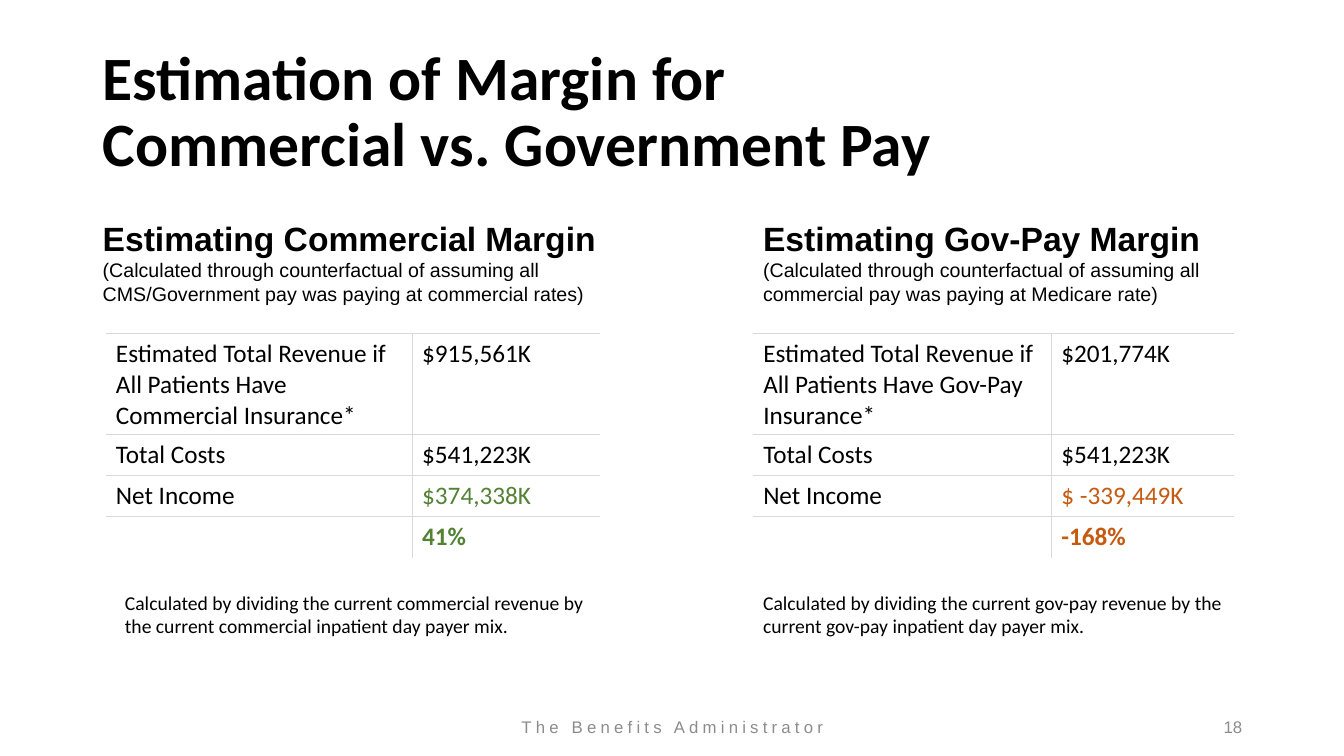
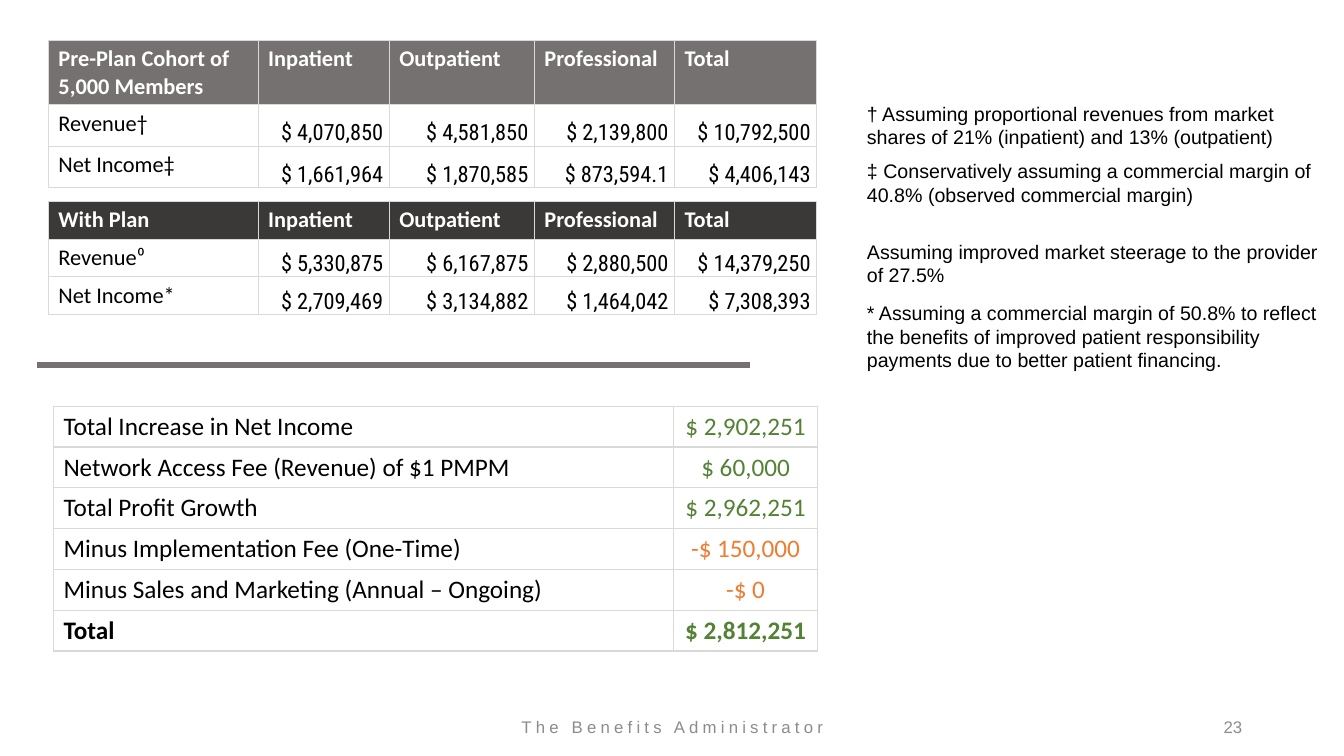
from collections import namedtuple

from lxml import etree
from pptx import Presentation
from pptx.dml.color import RGBColor
from pptx.enum.shapes import MSO_CONNECTOR
from pptx.enum.text import MSO_ANCHOR, MSO_AUTO_SIZE, PP_ALIGN
from pptx.oxml.ns import qn
from pptx.util import Inches, Pt

STRAIGHT = MSO_CONNECTOR.STRAIGHT
LEFT, CENTER, RIGHT = PP_ALIGN.LEFT, PP_ALIGN.CENTER, PP_ALIGN.RIGHT
TOP, MIDDLE, BOTTOM = MSO_ANCHOR.TOP, MSO_ANCHOR.MIDDLE, MSO_ANCHOR.BOTTOM
NO_AUTOFIT = MSO_AUTO_SIZE.NONE

WIDTH, HEIGHT = 13.33, 7.5
TITLE_ONLY, BLANK = 5, 6
BLACK, WHITE, MUTED, BORDER = "000000", "FFFFFF", "8C8C8C", "D9D9D9"
GRAY, CHARCOAL = "767171", "3B3838"
GREEN, ORANGE, RUST = "548235", "ED7D31", "C55A11"

Box = namedtuple("Box", "left top width height")
Cell = namedtuple("Cell", "text style fill", defaults=[None])

BASE = {"name": "Calibri", "size": 18, "color": BLACK, "bold": False}
TITLE = BASE | {"size": 44, "bold": True}
HEADING = BASE | {"name": "Arial", "size": 24, "bold": True}
NOTE = BASE | {"name": "Arial", "size": 14}
CAPTION = BASE | {"size": 14}
FOOTER = BASE | {"name": "Arial", "size": 12, "color": MUTED}
LABEL = BASE | {"size": 16}
HEADER = LABEL | {"color": WHITE, "bold": True}
AMOUNT = LABEL | {"name": "Roboto Condensed", "alignment": RIGHT}

AMOUNT_FRAME = {"margin_left": Inches(0.01), "margin_right": Inches(0.06),
                "margin_top": Inches(0.01), "margin_bottom": 0,
                "vertical_anchor": BOTTOM}


def color(hex_string):
    """Turn a hex string into a colour."""
    return RGBColor.from_string(hex_string)


def inches(box):
    """Turn a box into slide lengths."""
    return [Inches(value) for value in box]


def apply(target, values):
    """Set attributes of an object from a dict."""
    for name, value in values.items():
        setattr(target, name, value)


def write(paragraph, text, style):
    """Write text with line breaks in one style."""
    paragraph.alignment = style.get("alignment", LEFT)
    for index, line in enumerate(text.split("\n")):
        if index:
            paragraph.add_line_break()
        run = paragraph.add_run()
        run.text = line
        apply(run.font, {"name": style["name"], "size": Pt(style["size"]),
                         "bold": style["bold"]})
        run.font.color.rgb = color(style["color"])
        if "spacing" in style:
            run.font._element.set("spc", str(style["spacing"] * 100))


def add_text(slide, box, paragraphs, anchor=TOP):
    """Add a wrapped text box with styled paragraphs."""
    frame = slide.shapes.add_textbox(*inches(box)).text_frame
    apply(frame, {"word_wrap": True, "vertical_anchor": anchor})
    for index, (text, style) in enumerate(paragraphs):
        paragraph = frame.add_paragraph() if index else frame.paragraphs[0]
        write(paragraph, text, style)


def add_borders(cell, visible):
    """Draw the visible edges of a cell and clear the others."""
    properties = cell._tc.get_or_add_tcPr()
    for edge in "LRTB":
        line = etree.SubElement(properties, qn(f"a:ln{edge}"), w=str(Pt(1)))
        if edge in visible:
            fill = etree.SubElement(line, qn("a:solidFill"))
            etree.SubElement(fill, qn("a:srgbClr"), val=BORDER)
        else:
            etree.SubElement(line, qn("a:noFill"))


def add_table(slide, box, columns, rows, cells, framed=True):
    """Add a table whose columns and rows share the box by weight."""
    table = slide.shapes.add_table(len(rows), len(columns), *inches(box)).table
    apply(table, {"first_row": False, "horz_banding": False})
    for column, weight in zip(table.columns, columns):
        column.width = Inches(box.width * weight / sum(columns))
    for row, weight in zip(table.rows, rows):
        row.height = Inches(box.height * weight / sum(rows))
    for row_index, row in enumerate(cells):
        for column_index, item in enumerate(row):
            cell = table.cell(row_index, column_index)
            edges = {"L": column_index > 0, "R": column_index < len(columns) - 1,
                     "T": True, "B": row_index < len(rows) - 1}
            add_borders(cell, [edge for edge in edges if framed or edges[edge]])
            if item.fill:
                cell.fill.solid()
                cell.fill.fore_color.rgb = color(item.fill)
            else:
                cell.fill.background()
            if item.style is AMOUNT:
                apply(cell, AMOUNT_FRAME)
            if item.text:
                write(cell.text_frame.paragraphs[0], item.text, item.style)


def add_title(slide, box, text):
    """Place and format the title placeholder."""
    title = slide.shapes.title
    apply(title, dict(zip(Box._fields, inches(box))))
    apply(title.text_frame, {"word_wrap": True, "vertical_anchor": MIDDLE,
                             "auto_size": NO_AUTOFIT})
    paragraph = title.text_frame.paragraphs[0]
    write(paragraph, text, TITLE)
    paragraph.line_spacing = 0.9


def add_footer(slide, number):
    """Add the footer name and page number."""
    add_text(slide, Box(4.42, 7.08, 4.5, 0.27),
             [("The Benefits Administrator", FOOTER | {"alignment": CENTER, "spacing": 3})],
             MIDDLE)
    add_text(slide, Box(9.42, 7.08, 3, 0.27),
             [(number, FOOTER | {"alignment": RIGHT})], MIDDLE)


def add_margin_panel(slide, box, heading, basis, figures, accent, caption, indents):
    """Add a heading, a margin table and a caption down one panel."""
    table_indent, caption_indent = indents
    add_text(slide, Box(box.left, box.top, box.width, 0.98),
             [(heading, HEADING), (basis, NOTE)])
    result = BASE | {"color": accent}
    styles = [BASE, BASE, result, result | {"bold": True}]
    cells = [[Cell(label, BASE), Cell(value, style)]
             for (label, value), style in zip(figures, styles)]
    table_width = 4.9 if table_indent else box.width
    add_table(slide, Box(box.left + table_indent, box.top + 1.2, table_width, 2.22),
              [0.62, 0.38], [1, 0.41, 0.41, 0.41], cells, framed=False)
    add_text(slide, Box(box.left + caption_indent, box.top + 3.7, 4.81, 0.57),
             [(caption, CAPTION)])


def add_cohort_table(slide, box, rows, title, fill, figures):
    """Add a cohort table with a filled header row."""
    header = [title, "Inpatient", "Outpatient", "Professional", "Total"]
    cells = [[Cell(text, HEADER, fill) for text in header]]
    for label, *amounts in figures:
        cells.append([Cell(label, LABEL)] + [Cell(text, AMOUNT) for text in amounts])
    add_table(slide, box, [2.08, 1.3, 1.44, 1.39, 1.41], rows, cells)


def add_growth_table(slide, box, figures):
    """Add the profit growth table with a bold last row."""
    cells = []
    for index, (label, amount) in enumerate(figures):
        style = BASE | {"bold": index == len(figures) - 1}
        accent = ORANGE if amount.startswith("-") else GREEN
        cells.append([Cell(label, style),
                      Cell(amount, style | {"color": accent, "alignment": CENTER})])
    add_table(slide, box, [6.15, 1.43], [1] * len(cells), cells)


def add_divider(slide, left, right, top):
    """Add a thick horizontal rule."""
    line = slide.shapes.add_connector(STRAIGHT, *inches((left, top, right, top)))
    line.line.width = Pt(4.5)
    line.line.color.rgb = color(GRAY)
    etree.SubElement(line._element.spPr, qn("a:effectLst"))


def add_notes_column(slide, box, notes):
    """Add footnotes at offsets down a column."""
    for offset, text in notes:
        add_text(slide, Box(box.left, box.top + offset, box.width, 0.57), [(text, NOTE)])


def build_margin_slide(presentation):
    """Build the comparison of commercial and government margins."""
    slide = presentation.slides.add_slide(presentation.slide_layouts[TITLE_ONLY])
    add_title(slide, Box(0.92, 0.4, 11.5, 1.45),
              "Estimation of Margin for\nCommercial vs. Government Pay")
    add_footer(slide, "18")
    add_margin_panel(
        slide, Box(0.92, 2.11, 5.19, 4.27), "Estimating Commercial Margin",
        "(Calculated through counterfactual of assuming all CMS/Government pay "
        "was paying at commercial rates)",
        [("Estimated Total Revenue if All Patients Have Commercial Insurance*", "$915,561K"),
         ("Total Costs", "$541,223K"), ("Net Income", "$374,338K"), ("", "41%")], GREEN,
        "Calculated by dividing the current commercial revenue by the current "
        "commercial inpatient day payer mix.", (0.13, 0.22))
    add_margin_panel(
        slide, Box(7.47, 2.11, 4.77, 4.27), "Estimating Gov-Pay Margin",
        "(Calculated through counterfactual of assuming all commercial pay "
        "was paying at Medicare rate)",
        [("Estimated Total Revenue if All Patients Have Gov-Pay Insurance*", "$201,774K"),
         ("Total Costs", "$541,223K"), ("Net Income", "$ -339,449K"), ("", "-168%")], RUST,
        "Calculated by dividing the current gov-pay revenue by the current "
        "gov-pay inpatient day payer mix.", (0, 0))


def build_growth_slide(presentation):
    """Build the cohort tables, growth table and footnotes."""
    slide = presentation.slides.add_slide(presentation.slide_layouts[BLANK])
    add_footer(slide, "23")
    add_cohort_table(
        slide, Box(0.48, 0.4, 7.62, 1.46), [0.64, 0.41, 0.41],
        "Pre-Plan Cohort of 5,000 Members", GRAY,
        [("Revenue†", "$ 4,070,850", "$ 4,581,850", "$ 2,139,800", "$ 10,792,500"),
         ("Net Income‡", "$ 1,661,964", "$ 1,870,585", "$ 873,594.1", "$ 4,406,143")])
    add_cohort_table(
        slide, Box(0.48, 2, 7.62, 1.12), [1, 1, 1], "With Plan", CHARCOAL,
        [("Revenue⁰", "$ 5,330,875", "$ 6,167,875", "$ 2,880,500", "$ 14,379,250"),
         ("Net Income*", "$ 2,709,469", "$ 3,134,882", "$ 1,464,042", "$ 7,308,393")])
    add_divider(slide, 0.37, 7.44, 3.62)
    add_growth_table(
        slide, Box(0.53, 4.03, 7.58, 2.43),
        [("Total Increase in Net Income", "$ 2,902,251"),
         ("Network Access Fee (Revenue) of $1 PMPM", "$ 60,000"),
         ("Total Profit Growth", "$ 2,962,251"),
         ("Minus Implementation Fee (One-Time)", "-$ 150,000"),
         ("Minus Sales and Marketing (Annual – Ongoing)", "-$ 0"),
         ("Total", "$ 2,812,251")])
    add_notes_column(
        slide, Box(8.5, 0.96, 4.72, 2.79),
        [(0, "† Assuming proportional revenues from market shares of 21% (inpatient) "
             "and 13% (outpatient)"),
         (0.57, "‡ Conservatively assuming a commercial margin of 40.8% "
                "(observed commercial margin)"),
         (1.37, "Assuming improved market steerage to the provider of 27.5%"),
         (1.98, "* Assuming a commercial margin of 50.8% to reflect the benefits of "
                "improved patient responsibility payments due to better patient financing.")])


def main():
    """Build and save the presentation."""
    presentation = Presentation()
    apply(presentation, {"slide_width": Inches(WIDTH), "slide_height": Inches(HEIGHT)})
    build_margin_slide(presentation)
    build_growth_slide(presentation)
    presentation.save("out.pptx")


if __name__ == "__main__":
    main()
